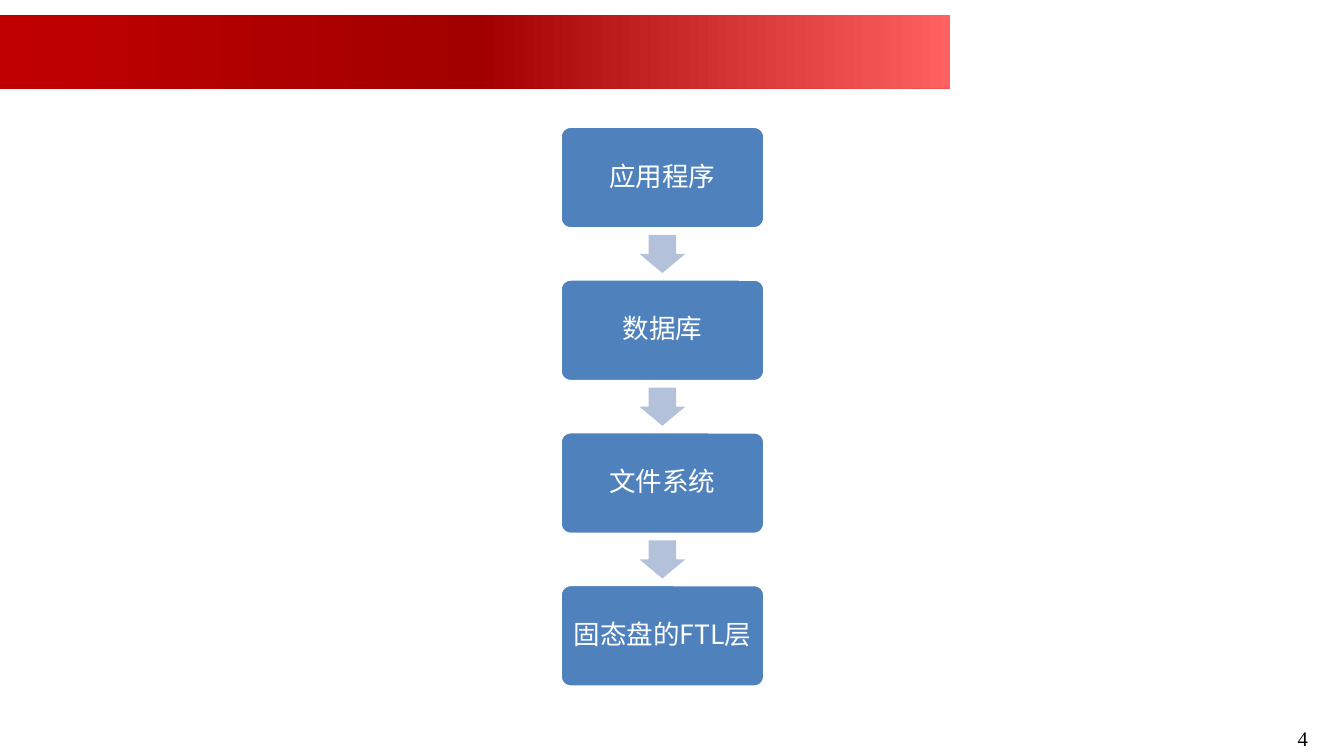
from copy import deepcopy
from dataclasses import dataclass

from lxml import etree
from pptx import Presentation
from pptx.dml.color import RGBColor
from pptx.enum.shapes import MSO_SHAPE
from pptx.enum.text import MSO_ANCHOR, PP_ALIGN
from pptx.oxml.ns import qn
from pptx.util import Inches, Pt

ROUND_RECT, DOWN_ARROW = MSO_SHAPE.ROUNDED_RECTANGLE, MSO_SHAPE.DOWN_ARROW
LEFT, CENTER, RIGHT = PP_ALIGN.LEFT, PP_ALIGN.CENTER, PP_ALIGN.RIGHT
TOP, MIDDLE = MSO_ANCHOR.TOP, MSO_ANCHOR.MIDDLE


@dataclass(frozen=True)
class Theme:
    banner: tuple = ((0, "C00000"), (0.5, "A20000"), (1, "FF6161"))
    box: str = "4F81BD"
    arrow: str = "B3C1DB"
    white: str = "FFFFFF"
    black: str = "000000"
    body_font: str = "Noto Sans CJK SC"
    number_font: str = "Times New Roman"
    body_size: int = 18
    number_size: int = 14


THEME = Theme()
LAYERS = ["应用程序", "数据库", "文件系统", "固态盘的FTL层"]


def rgb(code):
    return RGBColor.from_string(code)


def set_text(sp, text, *, font, size, color, align=LEFT, anchor=TOP,
             spacing=1.0, inset=(0.1, 0.05)):
    tf = sp.text_frame
    tf.word_wrap = True
    tf.vertical_anchor = anchor
    tf.margin_left = tf.margin_right = Inches(inset[0])
    tf.margin_top = tf.margin_bottom = Inches(inset[1])
    p = tf.paragraphs[0]
    p.alignment, p.line_spacing = align, spacing
    r = p.add_run()
    r.text = text
    r.font.name, r.font.size = font, Pt(size)
    r.font.color.rgb = rgb(color)
    # East Asian typeface
    etree.SubElement(r.font._element, qn("a:ea"), typeface=font)


def add_block(s, kind, x, y, w, h, fill, adjustments):
    sp = s.shapes.add_shape(kind, Inches(x), Inches(y), Inches(w), Inches(h))
    sp.shadow.inherit = False
    for i, value in enumerate(adjustments):
        sp.adjustments[i] = value
    sp.fill.solid()
    sp.fill.fore_color.rgb = rgb(fill)
    sp.line.fill.background()
    return sp


def add_banner(s, x, y, w, h):
    # The bottom edge rises slightly to the right
    fb = s.shapes.build_freeform(Inches(x), Inches(y))
    corners = [(x + w, y), (x + w, y + h - 0.01), (x, y + h)]
    fb.add_line_segments([(Inches(a), Inches(b)) for a, b in corners])
    sp = fb.convert_to_shape()
    sp.shadow.inherit = False
    sp.line.fill.background()
    # Three-stop gradient, left to right
    sp.fill.gradient()
    sp.fill.gradient_angle = 0
    stop_list = sp._element.spPr.find(qn("a:gradFill")).find(qn("a:gsLst"))
    stop_list.append(deepcopy(stop_list[-1]))
    for stop, (position, color) in zip(sp.fill.gradient_stops, THEME.banner):
        stop.position = position
        stop.color.rgb = rgb(color)


def add_layer_flow(s, x, y, w, h, layers):
    box_h, arrow_w, arrow_h = 0.96, 0.43, 0.36
    pitch = (h - box_h) / (len(layers) - 1)
    gap = pitch - box_h
    for i, layer in enumerate(layers):
        top = y + i * pitch
        # Layer box
        sp = add_block(s, ROUND_RECT, x, top, w, box_h, THEME.box, [0.1])
        sp.line.color.rgb = rgb(THEME.white)
        sp.line.width = Pt(2)
        set_text(sp, layer, font=THEME.body_font, size=THEME.body_size,
                 color=THEME.white, align=CENTER, anchor=MIDDLE,
                 spacing=0.9, inset=(0.07, 0.07))
        # Arrow centred in the gap below
        if i < len(layers) - 1:
            add_block(s, DOWN_ARROW, x + (w - arrow_w) / 2,
                      top + box_h + (gap - arrow_h) / 2,
                      arrow_w, arrow_h, THEME.arrow, [0.6, 0.5])


def add_page_number(s, x, y, w, h, number):
    sp = s.shapes.add_textbox(Inches(x), Inches(y), Inches(w), Inches(h))
    set_text(sp, number, font=THEME.number_font, size=THEME.number_size,
             color=THEME.black, align=RIGHT, spacing=1.08)


def main():
    prs = Presentation()
    prs.slide_width, prs.slide_height = Inches(12.64), Inches(7.11)
    s = prs.slides.add_slide(prs.slide_layouts[6])
    add_banner(s, 0, 0.14, 8.94, 0.7)
    add_page_number(s, 9.47, 6.76, 2.93, 0.34, "4")
    add_layer_flow(s, 5.27, 1.19, 1.92, 5.27, LAYERS)
    prs.save("out.pptx")


if __name__ == "__main__":
    main()
